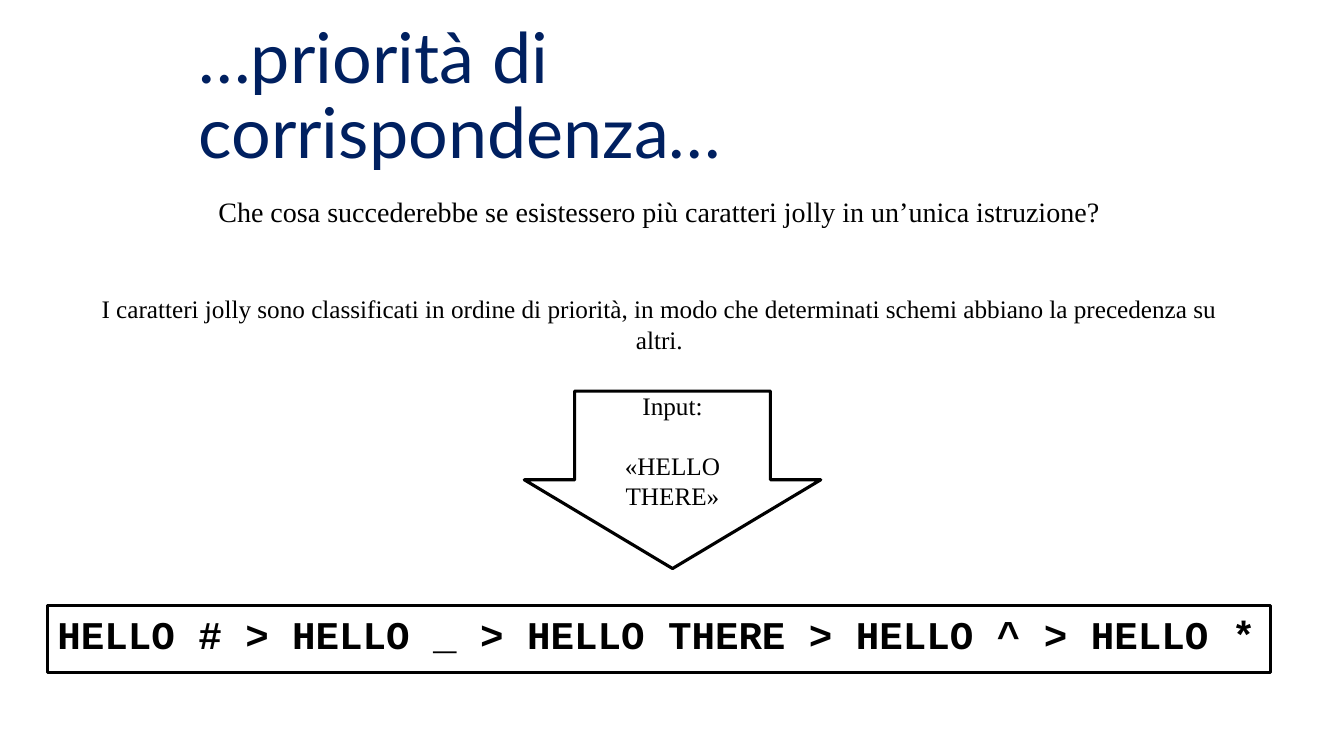
from dataclasses import dataclass

from pptx import Presentation
from pptx.dml.color import RGBColor
from pptx.enum.shapes import MSO_SHAPE
from pptx.enum.text import MSO_ANCHOR, PP_ALIGN
from pptx.util import Inches, Pt

RECT, ARROW = MSO_SHAPE.RECTANGLE, MSO_SHAPE.DOWN_ARROW
TOP, MIDDLE = MSO_ANCHOR.TOP, MSO_ANCHOR.MIDDLE
LEFT, CENTER = PP_ALIGN.LEFT, PP_ALIGN.CENTER
WIDE, HIGH = 13.33, 7.5


@dataclass(frozen=True)
class Theme:
    navy: RGBColor = RGBColor(0x00, 0x20, 0x60)
    black: RGBColor = RGBColor(0, 0, 0)
    head: str = "Lato"
    body: str = "Times New Roman"
    code: str = "Courier New"
    title: int = 50
    code_size: int = 28
    lead: int = 20
    text: int = 18
    line: float = 2.25


THEME = Theme()


def place(x, y, w, h):
    """Turn percentages of the slide into lengths."""
    return [Inches(share * full / 100)
            for share, full in ((x, WIDE), (y, HIGH), (w, WIDE), (h, HIGH))]


def write(shape, lines, font, color=THEME.black, align=CENTER,
          anchor=MIDDLE, bold=False):
    """Fill a shape with lines of (text, size, space before)."""
    frame = shape.text_frame
    frame.word_wrap = True
    frame.vertical_anchor = anchor
    for i, (text, size, gap) in enumerate(lines):
        para = frame.add_paragraph() if i else frame.paragraphs[0]
        para.text = text
        para.alignment = align
        para.space_before = Pt(gap)
        para.font.name = font
        para.font.size = Pt(size)
        para.font.bold = bold
        para.font.color.rgb = color
    return frame


def add_text(slide, box, lines, font, **style):
    return write(slide.shapes.add_textbox(*place(*box)), lines, font, **style)


def add_frame(slide, kind, box, lines, font, **style):
    """Add an outlined shape without fill."""
    shape = slide.shapes.add_shape(kind, *place(*box))
    shape.shadow.inherit = False
    shape.fill.background()
    shape.line.color.rgb = THEME.black
    shape.line.width = Pt(THEME.line)
    write(shape, lines, font, **style)
    return shape


def main():
    deck = Presentation()
    deck.slide_width, deck.slide_height = Inches(WIDE), Inches(HIGH)
    slide = deck.slides.add_slide(deck.slide_layouts[6])

    # Title, on two lines
    title = add_text(slide, (14.03, 7.47, 67.29, 11.07),
                     [("…priorità di corrispondenza…", THEME.title, 0)],
                     THEME.head, color=THEME.navy, align=LEFT)
    title.margin_right = Inches(0.3)
    title.paragraphs[0].line_spacing = 0.9

    # Question and answer
    add_text(slide, (5.4, 25.07, 87.32, 22.4), [
        ("Che cosa succederebbe se esistessero più caratteri jolly "
         "in un’unica istruzione?", THEME.lead, 0),
        ("I caratteri jolly sono classificati in ordine di priorità, in modo "
         "che determinati schemi abbiano la precedenza su altri.",
         THEME.text, 47),
    ], THEME.body)

    # Order of priority
    add_frame(slide, RECT, (3.53, 80.13, 91, 8.8),
              [("HELLO # > HELLO _ > HELLO THERE > HELLO ^ > HELLO *",
                THEME.code_size, 0)],
              THEME.code, align=LEFT, anchor=TOP, bold=True)

    # Input arrow
    arrow = add_frame(slide, ARROW, (39.01, 51.73, 22.06, 23.47),
                      [("Input:", THEME.text, 0),
                       ("«HELLO THERE»", THEME.text, 21)], THEME.body)
    arrow.adjustments[0] = 0.66
    arrow.adjustments[1] = 0.5

    deck.save("out.pptx")


if __name__ == "__main__":
    main()
